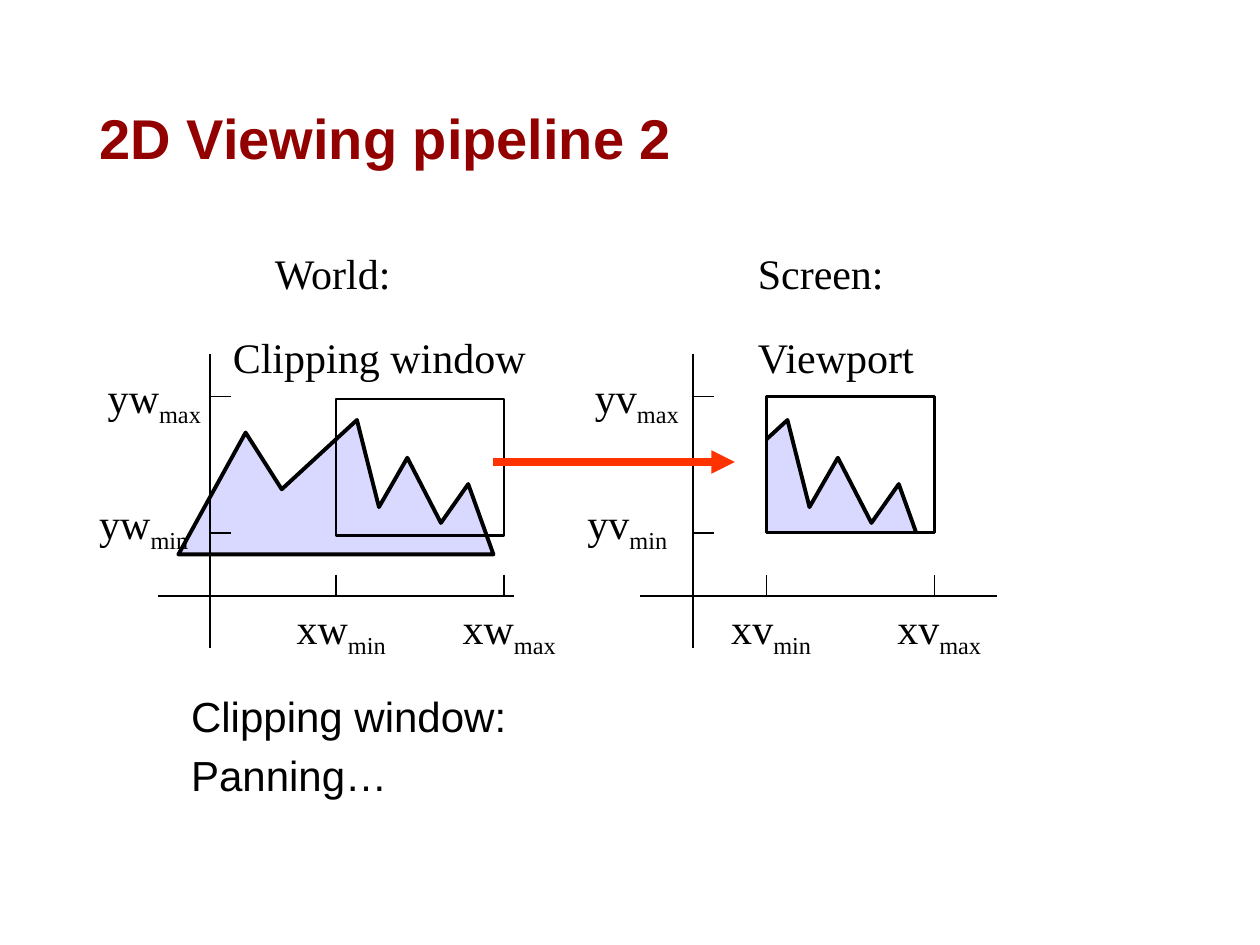
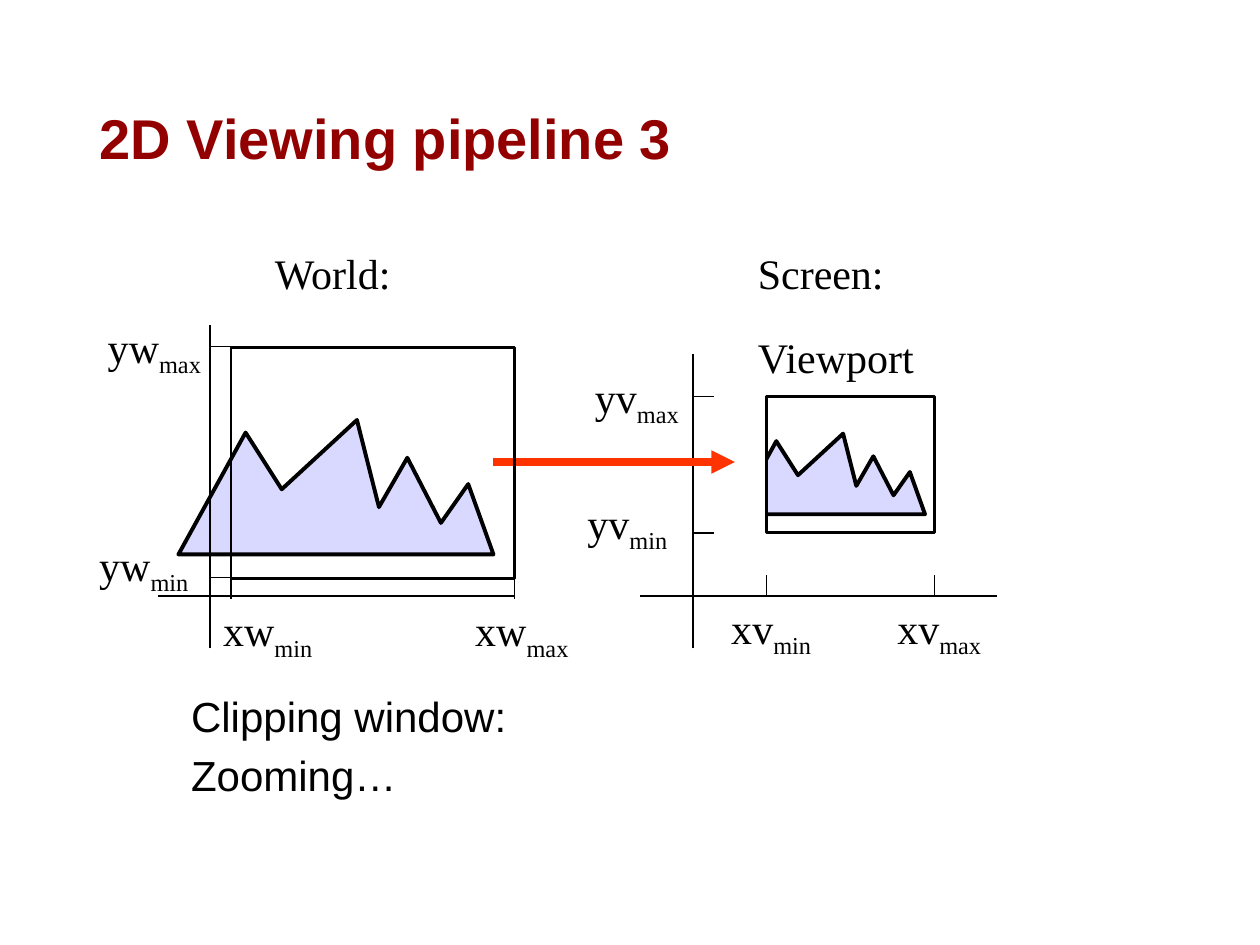
from lxml import etree
from pptx import Presentation
from pptx.dml.color import RGBColor
from pptx.enum import shapes, text
from pptx.oxml.ns import qn
from pptx.util import Pt

BLACK, WHITE, MAROON, LILAC, RED = "000000", "FFFFFF", "920000", "D9D9FF", "FF3300"
RECT = shapes.MSO_SHAPE.RECTANGLE
PEAKS = [(0, 12.8), (6.4, 1.2), (9.84, 6.6), (17, 0), (19.1, 8.3),
         (21.8, 3.6), (25, 9.8), (27.6, 6.1), (30, 12.8)]
BASE = 56.75

prs = Presentation()
prs.slide_width, prs.slide_height = Pt(720), Pt(540)
unit = prs.slide_width // 120


def tint(fill, shade):
    fill.solid()
    fill.fore_color.rgb = RGBColor.from_string(shade)


def rule(ends, width, shade=BLACK):
    line = slide.shapes.add_connector(
        shapes.MSO_CONNECTOR.STRAIGHT, *[int(v * unit) for v in ends])
    tint(line.line.fill, shade)
    line.line.width = Pt(width)
    etree.SubElement(line._element.spPr, qn("a:effectLst"))
    return line


pages = [
    dict(title="2D Viewing pipeline 2", verb="Panning…",
         window=(32, 38, 16, 13), low=50.75, high=37.75, top=33.75, foot=BASE,
         view=(58, 40), scale=1, mask=(56, 35.75, 17, 19),
         tags=[(9, 34.75, 11.4, "yw", "max"), (8.2, 46.75, 11, "yw", "min"),
               (27, BASE, 11, "xw", "min"), (42.8, BASE, 11.4, "xw", "max"),
               (21, 31, 31, "Clipping window", "")]),
    dict(title="2D Viewing pipeline 3", verb="Zooming…",
         window=(22, 33.1, 27, 22), low=55, high=33, top=31, foot=57,
         view=(70.1, 41.3), scale=0.6, mask=(61, 35.75, 12, 19),
         tags=[(9, 30, 11.4, "yw", "max"), (8.2, 50.75, 11, "yw", "min"),
               (20, 57, 11, "xw", "min"), (44, 57, 11.4, "xw", "max")]),
]
shared = [(68.4, BASE, 10.1, "xv", "min"), (84.2, BASE, 10.5, "xv", "max"),
          (55.4, 34.75, 10.5, "yv", "max"), (54.7, 46.75, 10.1, "yv", "min"),
          (71, 31, 19, "Viewport", ""), (25, 23, 23, "World:", ""),
          (71, 23, 23, "Screen:", "")]
port = (73, 37.75, 16, 13)

for page in pages:
    slide = prs.slides.add_slide(prs.slide_layouts[1])
    title, body = slide.placeholders
    title.text_frame.text = page["title"]
    body.text_frame.text = "Clipping window:\n" + page["verb"]
    for box, spot, size, shade in [(title, (8.3, 4.8, 103.4, 17.4), 32, MAROON),
                                   (body, (17, 65.75, 41, 13.2), 24, BLACK)]:
        box.left, box.top, box.width, box.height = [int(v * unit) for v in spot]
        box.text_frame.auto_size = text.MSO_AUTO_SIZE.NONE
        for row, para in enumerate(box.text_frame.paragraphs):
            props = para._p.get_or_add_pPr()
            if box is body:
                props.set("marL", str(int(2.25 * unit)))
                props.set("indent", str(int(-2.25 * unit)))
            etree.SubElement(props, qn("a:buNone"))
            para.alignment = text.PP_ALIGN.LEFT
            para.line_spacing = 0.9
            para.space_before = Pt(7.5 * row)
            para.font.name, para.font.size = "Arial", Pt(size)
            para.font.bold = box is title
            tint(para.font.fill, shade)

    for (left, top), scale in [((17, 40), 1), (page["view"], page["scale"])]:
        dots = [(int((left + x * scale) * unit), int((top + y * scale) * unit))
                for x, y in PEAKS]
        pen = slide.shapes.build_freeform(*dots[0])
        pen.add_line_segments(dots[1:], close=True)
        hill = pen.convert_to_shape()
        hill.shadow.inherit = False
        tint(hill.fill, LILAC)
        tint(hill.line.fill, BLACK)
        hill.line.width = Pt(2.25)

    for spot in [page["mask"], (72, 50.75, 25, 4), (89, 36.75, 9, 19)]:
        mask = slide.shapes.add_shape(RECT, *[int(v * unit) for v in spot])
        mask.shadow.inherit = False
        tint(mask.fill, WHITE)
        mask.line.fill.background()

    for axis, top, low, high, foot, spot in [
            (20, page["top"], page["low"], page["high"], page["foot"], page["window"]),
            (66, 33.75, 50.75, 37.75, BASE, port)]:
        rule((axis - 5, BASE, axis + 29, BASE), 1.5)
        rule((axis, 61.75, axis, top), 1.5)
        for y in (low, high):
            rule((axis, y, axis + 2, y), 0.75)
        for x in (spot[0], spot[0] + spot[2]):
            rule((x, foot - 2, x, foot), 0.75)

    frames = []
    for spot in (page["window"], port):
        frame = slide.shapes.add_shape(RECT, *[int(v * unit) for v in spot])
        frame.shadow.inherit = False
        frame.fill.background()
        tint(frame.line.fill, BLACK)
        frame.line.width = Pt(1.5)
        frames.append(frame)

    arrow = rule((47, 44, 70, 44), 4.5, RED)
    etree.SubElement(arrow.line._get_or_add_ln(), qn("a:tailEnd"), type="triangle")
    if page["scale"] < 1:
        arrow._element.addnext(frames[0]._element)

    for left, top, width, word, sub in page["tags"] + shared:
        tag = slide.shapes.add_textbox(*[int(v * unit) for v in (left, top, width, 6)])
        tag.text_frame.word_wrap = not sub
        para = tag.text_frame.paragraphs[0]
        para.alignment = text.PP_ALIGN.CENTER if sub else text.PP_ALIGN.LEFT
        para.font.name, para.font.size = "Times New Roman", Pt(24)
        tint(para.font.fill, BLACK)
        para.add_run().text = word
        if sub:
            run = para.add_run()
            run.text = sub
            run._r.get_or_add_rPr().set("baseline", "-25000")

prs.save("out.pptx")
